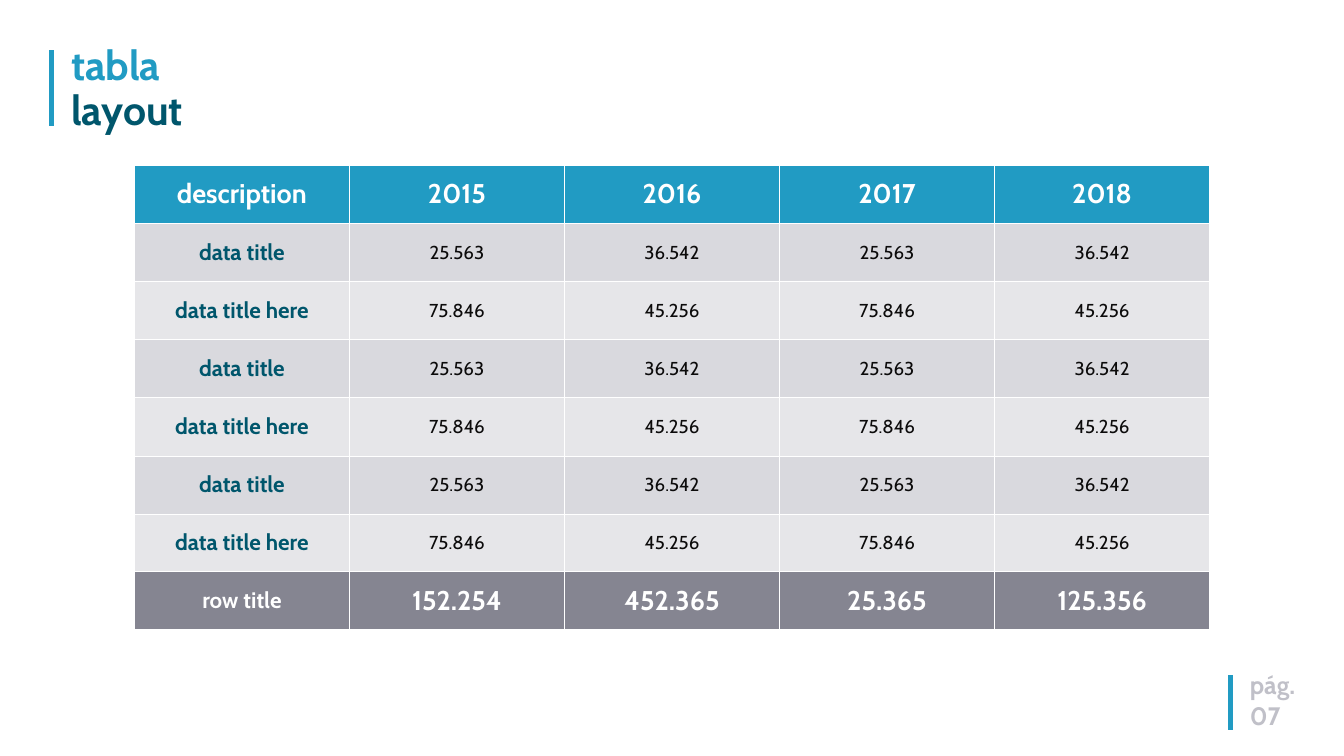
"""Build the table layout slide with its title, figures and page number."""
from dataclasses import dataclass

from lxml.etree import SubElement
from pptx import Presentation
from pptx.dml.color import RGBColor
from pptx.enum.shapes import MSO_CONNECTOR
from pptx.enum.text import MSO_ANCHOR, PP_ALIGN
from pptx.oxml.ns import qn
from pptx.util import Pt

PX = 9525


@dataclass(frozen=True)
class Theme:
    font: str = "Cabin"
    blue: str = "219BC3"
    teal: str = "00566C"
    ink: str = "0C0B0B"
    white: str = "FFFFFF"
    dark_band: str = "D9D9DE"
    light_band: str = "E6E6E9"
    total_band: str = "858591"
    page_grey: str = "C0C0C8"
    title_size: int = 44
    head_size: int = 29
    page_size: int = 27
    label_size: int = 24
    value_size: int = 20
    accent_width: float = 5
    thick_rule: float = 1.47
    thin_rule: float = 0.45


theme = Theme()


def write(paragraph, text, *, size, color, bold=True, align=PP_ALIGN.LEFT, spacing=1.0):
    paragraph.alignment = align
    paragraph.line_spacing = spacing
    run = paragraph.add_run()
    run.text = text
    run.font.name = theme.font
    run.font.size = Pt(size)
    run.font.bold = bold
    run.font.color.rgb = RGBColor.from_string(color)


def rule_cell(cell, top, bottom):
    widths = {"L": theme.thick_rule, "R": theme.thick_rule, "T": top, "B": bottom}
    for side, width in widths.items():
        border = SubElement(cell._tc.get_or_add_tcPr(), qn(f"a:ln{side}"), w=str(Pt(width)))
        SubElement(SubElement(border, qn("a:solidFill")), qn("a:srgbClr"), val=theme.white)


presentation = Presentation()
presentation.slide_width = 1920 * PX
presentation.slide_height = 1080 * PX
slide = presentation.slides.add_slide(presentation.slide_layouts[5])

for x, top, bottom in [(1758, 965, 1043), (74, 72, 180)]:
    accent = slide.shapes.add_connector(
        MSO_CONNECTOR.STRAIGHT, x * PX, top * PX, x * PX, bottom * PX
    )
    accent.line.color.rgb = RGBColor.from_string(theme.blue)
    accent.line.width = Pt(theme.accent_width)
    SubElement(accent._element.spPr, qn("a:effectLst"))

title = slide.shapes.title
title.left, title.top, title.width, title.height = 92 * PX, 60 * PX, 572 * PX, 139 * PX
title.text_frame.word_wrap = True
title.text_frame.vertical_anchor = MSO_ANCHOR.TOP
heading = title.text_frame.paragraphs[0]
write(heading, "tabla", size=theme.title_size, color=theme.blue, spacing=0.9)
heading.add_line_break()
write(heading, "layout", size=theme.title_size, color=theme.teal, spacing=0.9)

data_pair = [
    ["data title", "25.563", "36.542", "25.563", "36.542"],
    ["data title here", "75.846", "45.256", "75.846", "45.256"],
]
records = [
    ["description", "2015", "2016", "2017", "2018"],
    *data_pair * 3,
    ["row title", "152.254", "452.365", "25.365", "125.356"],
]
last = len(records) - 1
figures = slide.shapes.add_table(
    len(records), len(records[0]), 192 * PX, 236 * PX, 1536 * PX, 664 * PX
).table

for row, record in enumerate(records):
    is_head, is_total = row == 0, row == last
    if is_head:
        band = theme.blue
    elif is_total:
        band = theme.total_band
    else:
        band = theme.dark_band if row % 2 else theme.light_band
    top_rule = theme.thin_rule if 1 < row < last else theme.thick_rule
    bottom_rule = theme.thin_rule if 0 < row < last - 1 else theme.thick_rule

    for column, text in enumerate(record):
        is_label = column == 0
        if is_head or (is_total and not is_label):
            size, color = theme.head_size, theme.white
        elif is_label:
            size, color = theme.label_size, theme.white if is_total else theme.teal
        else:
            size, color = theme.value_size, theme.ink

        cell = figures.cell(row, column)
        rule_cell(cell, top_rule, bottom_rule)
        cell.fill.solid()
        cell.fill.fore_color.rgb = RGBColor.from_string(band)
        cell.vertical_anchor = MSO_ANCHOR.MIDDLE
        write(
            cell.text_frame.paragraphs[0],
            text,
            size=size,
            color=color,
            bold=is_head or is_total or is_label,
            align=PP_ALIGN.CENTER,
        )

page_number = slide.shapes.add_textbox(1776 * PX, 952 * PX, 182 * PX, 102 * PX).text_frame
page_number.word_wrap = True
write(page_number.paragraphs[0], "pág.", size=theme.page_size, color=theme.page_grey)
write(page_number.add_paragraph(), "07", size=theme.page_size, color=theme.page_grey)

presentation.save("out.pptx")
